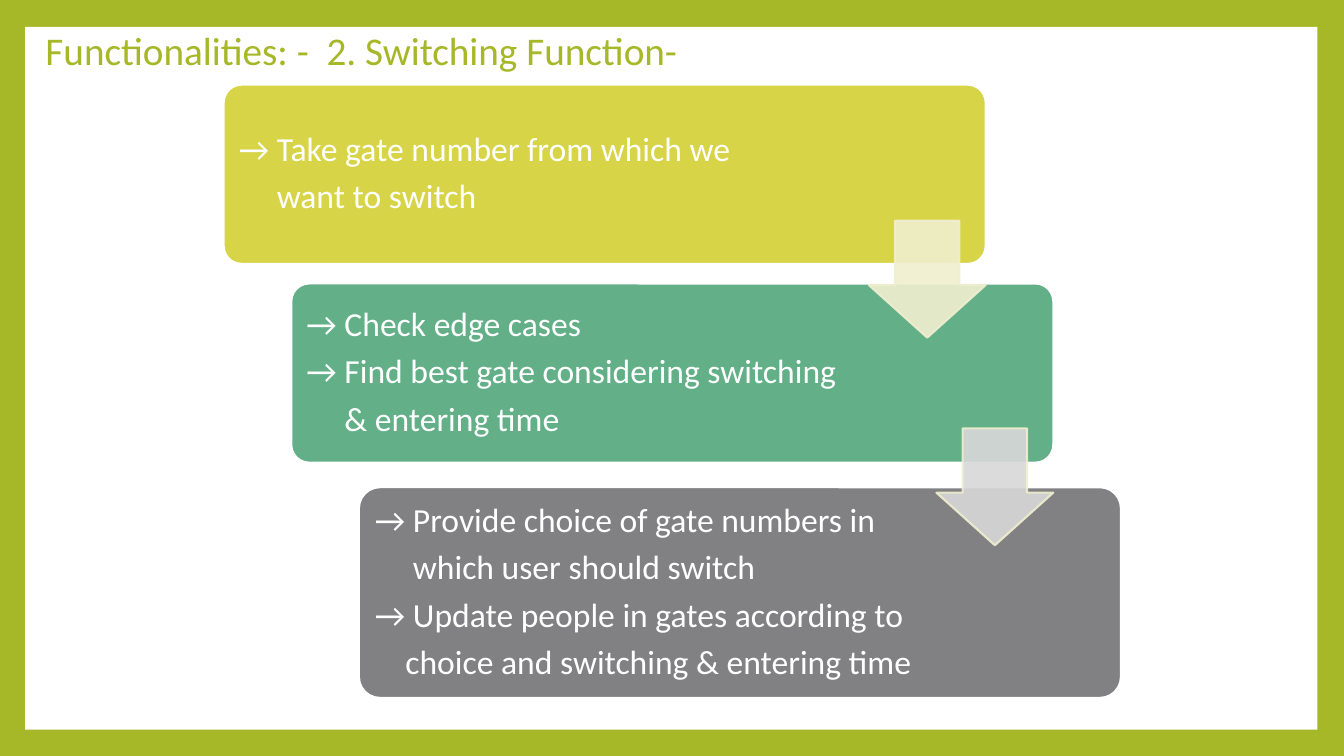
from pptx import Presentation
from pptx.dml.color import RGBColor
from pptx.enum.shapes import MSO_SHAPE
from pptx.enum.text import MSO_ANCHOR, PP_ALIGN
from pptx.oxml.ns import qn
from pptx.util import Pt
from lxml import etree

RECT, ROUND, ARROW = MSO_SHAPE.RECTANGLE, MSO_SHAPE.ROUNDED_RECTANGLE, MSO_SHAPE.DOWN_ARROW
MIDDLE, LEFT = MSO_ANCHOR.MIDDLE, PP_ALIGN.LEFT

# Content: each line is (text, left indent)
TITLE = "Functionalities: -  2. Switching Function-"
STEPS = [
    {"fill": "D7D447", "top": 60.5, "height": 128, "lines": [
        ("→ Take gate number from which we", 0),
        ("want to switch", 27.1)]},
    {"fill": "62AF88", "top": 202.5, "height": 128, "lines": [
        ("→ Check edge cases", 0),
        ("→ Find best gate considering switching", 0),
        ("& entering time", 27.1)]},
    {"fill": "818183", "top": 348, "height": 150.5, "lines": [
        ("→ Provide choice of gate numbers in", 0),
        ("which user should switch", 27.1),
        ("→ Update people in gates according to", 0),
        ("choice and switching & entering time", 21.7)]},
]
ARROWS = [("F0EFCF", 157.7), ("D8D8D9", 306)]  # fill, top

THEME = {"font": "Calibri", "title": 28, "body": 24, "green": "A6B727",
         "white": "FFFFFF", "edge": "F0EFCF", "line": 1.5, "alpha": 90}

# Layout: boxes step to the right, each arrow ends at its box's right edge
LEFT_X, STEP_X, BOX_W, ARROW_W = 159.8, 48.3, 544.3, 83.5
INSET = 7.2


def color(code):
    return RGBColor.from_string(code)


def add_shape(kind, x, y, w, h, fill, edge=None):
    shape = slide.shapes.add_shape(kind, Pt(x), Pt(y), Pt(w), Pt(h))
    shape.shadow.inherit = False
    shape.fill.solid()
    shape.fill.fore_color.rgb = color(fill)
    if edge:
        shape.line.color.rgb = color(edge)
        shape.line.width = Pt(THEME["line"])
    else:
        shape.line.fill.background()
    return shape


def add_run(para, text, size, code):
    run = para.add_run()
    run.text = text
    run.font.name = THEME["font"]
    run.font.size = Pt(size)
    run.font.color.rgb = color(code)


def fade(shape):
    for tint in shape.element.spPr.iter(qn("a:srgbClr")):
        alpha = etree.SubElement(tint, qn("a:alpha"))
        alpha.set("val", str(THEME["alpha"] * 1000))


deck = Presentation()
deck.slide_width, deck.slide_height = Pt(960), Pt(540)
slide = deck.slides.add_slide(deck.slide_layouts[6])

# Green frame around a white panel
slide.background.fill.solid()
slide.background.fill.fore_color.rgb = color(THEME["green"])
add_shape(RECT, 18, 19.2, 923, 502, THEME["white"])

# Title
title = slide.shapes.add_textbox(Pt(25.4), Pt(15.2), Pt(710), Pt(41))
title.text_frame.word_wrap = True
add_run(title.text_frame.paragraphs[0], TITLE, THEME["title"], THEME["green"])

# Step boxes
for i, step in enumerate(STEPS):
    box = add_shape(ROUND, LEFT_X + i * STEP_X, step["top"], BOX_W, step["height"],
                    step["fill"], THEME["white"])
    box.adjustments[0] = 0.1
    frame = box.text_frame
    frame.word_wrap = True
    frame.vertical_anchor = MIDDLE
    frame.margin_left = frame.margin_right = Pt(INSET)
    frame.margin_top = frame.margin_bottom = Pt(INSET)
    for n, (text, indent) in enumerate(step["lines"]):
        para = frame.add_paragraph() if n else frame.paragraphs[0]
        para.alignment = LEFT
        para.line_spacing = 0.9
        para.space_after = Pt(8)
        para._p.get_or_add_pPr().set("marL", str(Pt(indent)))
        add_run(para, text, THEME["body"], THEME["white"])

# Arrows between the boxes
for i, (fill, top) in enumerate(ARROWS):
    x = LEFT_X + i * STEP_X + BOX_W - ARROW_W
    arrow = add_shape(ARROW, x, top, ARROW_W, ARROW_W, fill, THEME["edge"])
    arrow.adjustments[0], arrow.adjustments[1] = 0.55, 0.45
    fade(arrow)

deck.save("out.pptx")
